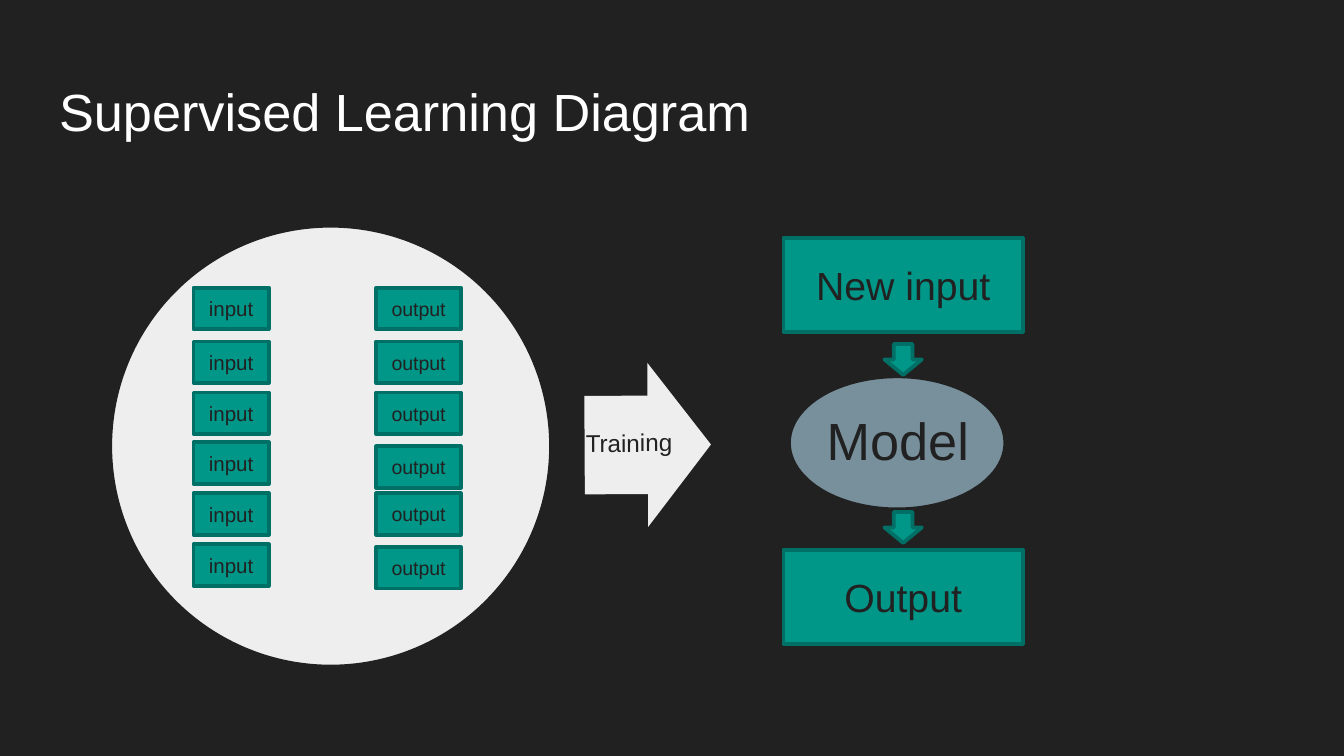
from pptx import Presentation
from pptx.dml.color import RGBColor
from pptx.enum.shapes import MSO_SHAPE as Shape
from pptx.enum.text import MSO_ANCHOR as Anchor, PP_ALIGN as Align
from pptx.util import Inches, Pt

DARK = RGBColor(0x21, 0x21, 0x21)
WHITE = RGBColor(0xFF, 0xFF, 0xFF)
LIGHT = RGBColor(0xEE, 0xEE, 0xEE)
TEAL = RGBColor(0x00, 0x96, 0x88)
DEEP_TEAL = RGBColor(0x00, 0x6F, 0x65)
SLATE = RGBColor(0x78, 0x90, 0x9C)
FONT = "Arial"

# Tops of the example boxes in each column
INPUT_TOPS = (2.14, 2.54, 2.92, 3.29, 3.67, 4.05)
OUTPUT_TOPS = (2.14, 2.54, 2.92, 3.32, 3.67, 4.07)


def write(frame, text, size, color=DARK, align=Align.CENTER,
          anchor=Anchor.MIDDLE, inset=0.0, spacing=None):
    """Put one formatted run into a text frame."""
    frame.word_wrap = True
    frame.vertical_anchor = anchor
    frame.margin_left = frame.margin_right = Inches(inset)
    frame.margin_top = frame.margin_bottom = Inches(inset)
    para = frame.paragraphs[0]
    para.alignment = align
    if spacing:
        para.line_spacing = spacing
    span = para.add_run()
    span.text = text
    span.font.name = FONT
    span.font.size = Pt(size)
    span.font.color.rgb = color


def add_figure(slide, kind, left, top, width, height, fill=TEAL, line=DEEP_TEAL):
    """Add a flat preset shape, outlined unless line is None."""
    figure = slide.shapes.add_shape(
        kind, Inches(left), Inches(top), Inches(width), Inches(height))
    figure.shadow.inherit = False
    figure.fill.solid()
    figure.fill.fore_color.rgb = fill
    if line is None:
        figure.line.fill.background()
    else:
        figure.line.color.rgb = line
        figure.line.width = Pt(2)
    return figure


def add_box(slide, text, size, left, top, width, height):
    box = add_figure(slide, Shape.RECTANGLE, left, top, width, height)
    write(box.text_frame, text, size)


def add_label(slide, text, size, left, top, width, height, inset=0.0):
    label = slide.shapes.add_textbox(
        Inches(left), Inches(top), Inches(width), Inches(height))
    write(label.text_frame, text, size, inset=inset, spacing=0.9)
    return label


def add_title(slide, text):
    title = slide.shapes.title
    title.left, title.top = Inches(0.34), Inches(0.49)
    title.width, title.height = Inches(9.32), Inches(0.63)
    write(title.text_frame, text, 28, WHITE, Align.LEFT, Anchor.TOP, inset=0.1)


def main():
    # Widescreen deck, 16 by 9
    deck = Presentation()
    deck.slide_width = Inches(10)
    deck.slide_height = deck.slide_width * 9 // 16
    slide = deck.slides.add_slide(deck.slide_layouts[5])
    slide.background.fill.solid()
    slide.background.fill.fore_color.rgb = DARK
    add_title(slide, "Supervised Learning Diagram")

    # Training set and training arrow
    add_figure(slide, Shape.OVAL, 0.82, 1.68, 3.28, 3.28, LIGHT, DARK)
    arrow = add_figure(slide, Shape.RIGHT_ARROW, 4.35, 2.7, 0.94, 1.22, LIGHT, None)
    arrow.adjustments[0] = 0.6
    arrow.adjustments[1] = 0.5
    label = add_label(slide, "Training", 13, 4.35, 2.94, 0.66, 0.73)
    arrow.rotation = label.rotation = 359.7

    # Model
    add_figure(slide, Shape.OVAL, 5.87, 2.8, 1.61, 0.99, SLATE, DARK)
    add_label(slide, "Model", 28, 6.11, 2.95, 1.14, 0.7, inset=0.04)

    # Prediction flow through the model
    for text, top in (("New input", 1.77), ("Output", 4.09)):
        add_box(slide, text, 21, 5.83, top, 1.78, 0.7)
    for top in (2.56, 3.81):
        add_figure(slide, Shape.DOWN_ARROW, 6.58, top, 0.28, 0.23)

    # Example pairs inside the training set
    for text, size, left, width, tops in (
            ("input", 11, 1.44, 0.56, INPUT_TOPS),
            ("output", 10.5, 2.8, 0.63, OUTPUT_TOPS)):
        for top in tops:
            add_box(slide, text, size, left, top, width, 0.31)

    deck.save("out.pptx")


if __name__ == "__main__":
    main()
